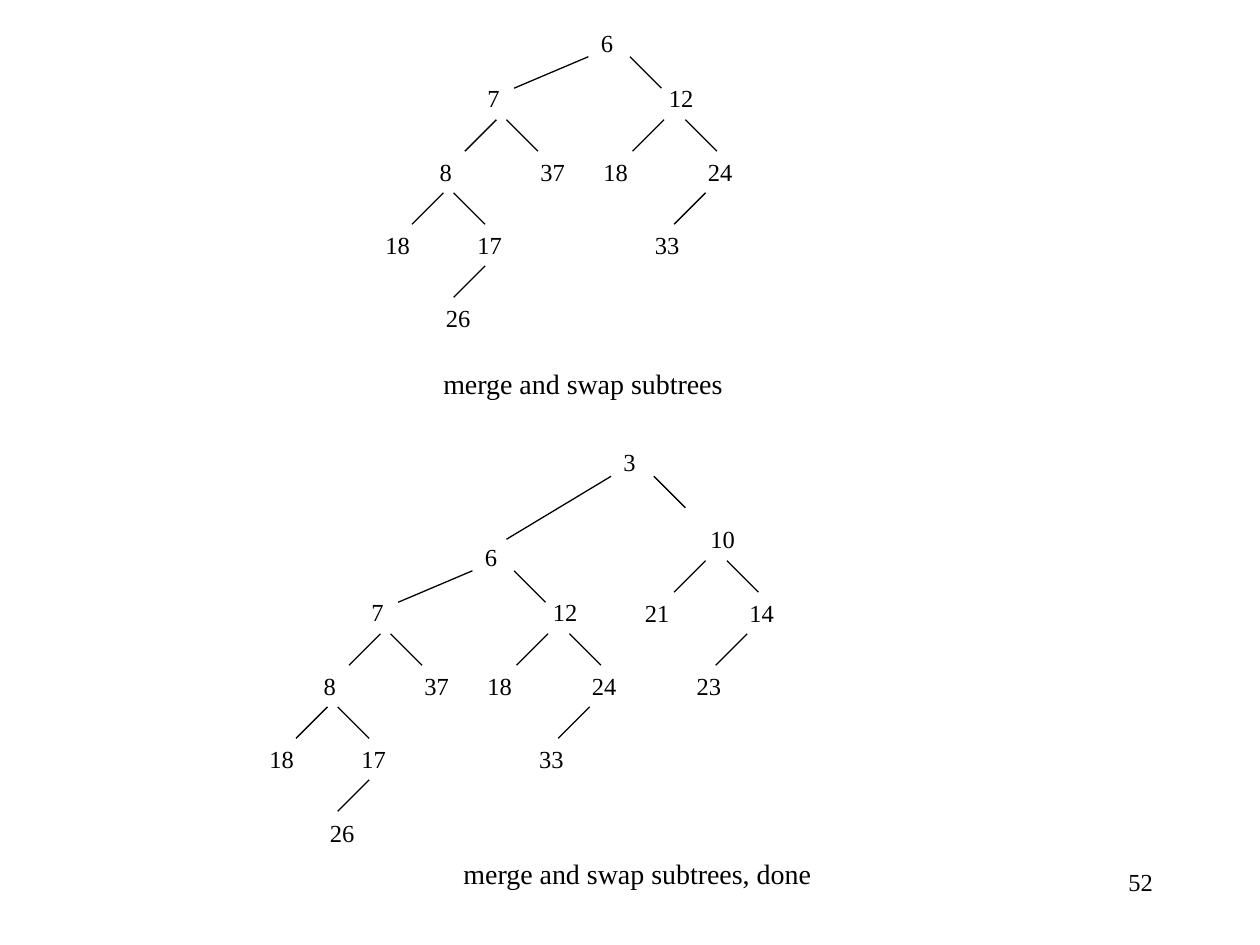
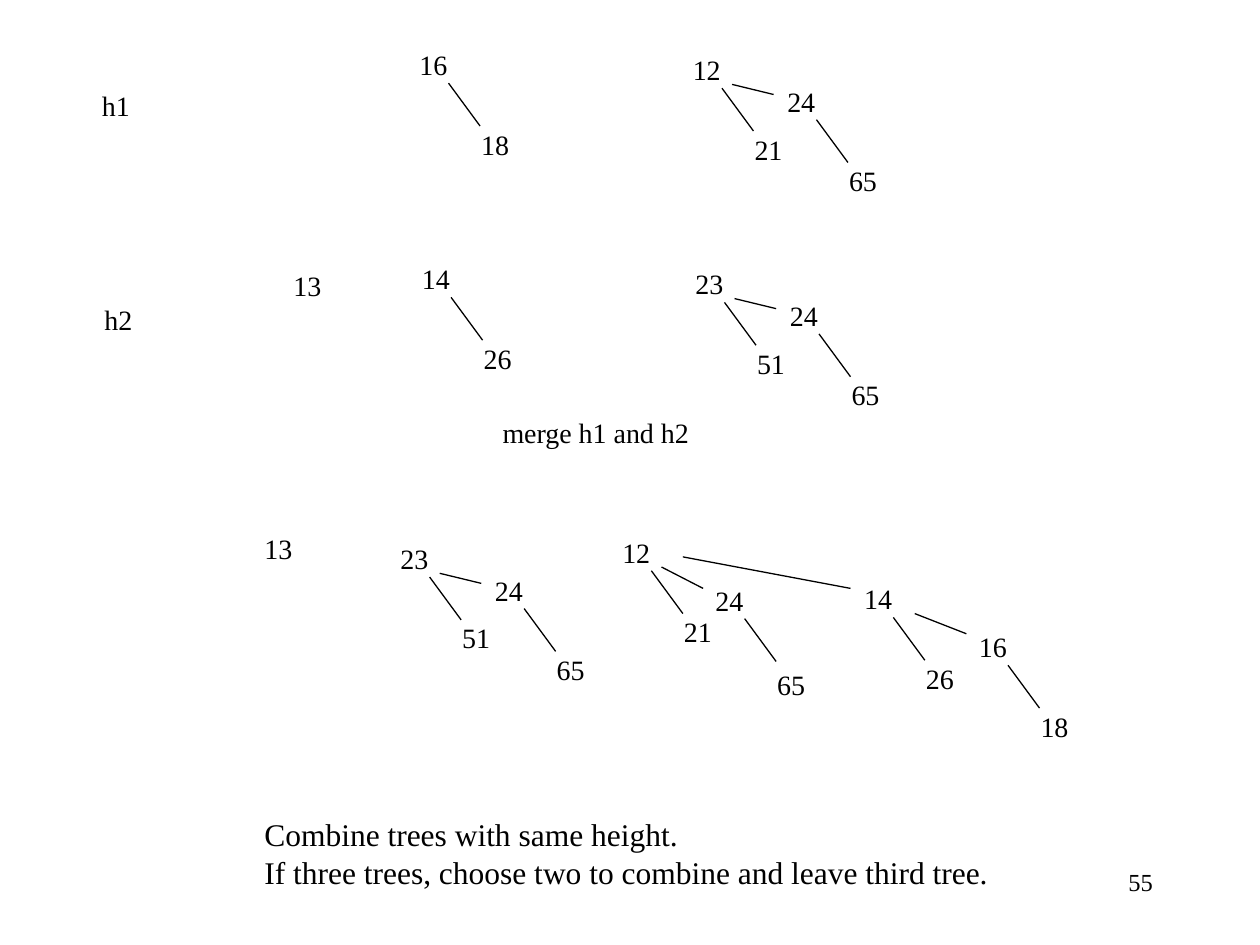
from lxml import etree
from pptx import Presentation
from pptx.dml.color import RGBColor
from pptx.enum.shapes import MSO_CONNECTOR
from pptx.enum.text import MSO_AUTO_SIZE, PP_ALIGN
from pptx.oxml.ns import qn
from pptx.util import Inches, Pt

STRAIGHT = MSO_CONNECTOR.STRAIGHT
FIT_SHAPE = MSO_AUTO_SIZE.SHAPE_TO_FIT_TEXT
NO_FIT = MSO_AUTO_SIZE.NONE
ALIGN_LEFT = PP_ALIGN.LEFT
ALIGN_RIGHT = PP_ALIGN.RIGHT

INK = "000000"
PAPER = "FFFFFF"
FONT = "Times New Roman"
NODE_SIZES = {14: (0.2, 0.1, 0.33), 16: (0.2, 0.11, 0.37)}
BRANCH = 0.25
LEVEL = 0.58


def paint(color_format, color):
    color_format.rgb = RGBColor.from_string(color)


def add_text(slide, box, lines, size, align=ALIGN_LEFT, wrap=False, fit=FIT_SHAPE):
    frame = slide.shapes.add_textbox(*map(Inches, box)).text_frame
    for name, value in {"word_wrap": wrap, "auto_size": fit}.items():
        setattr(frame, name, value)
    for index, line in enumerate(lines):
        paragraph = frame.add_paragraph() if index else frame.paragraphs[0]
        paragraph.alignment = align
        run = paragraph.add_run()
        run.text = line
        for name, value in {"name": FONT, "size": Pt(size)}.items():
            setattr(run.font, name, value)
        paint(run.font.color, INK)


def add_key(slide, left, top, key, size):
    margin, digit, height = NODE_SIZES[size]
    add_text(slide, (left, top, margin + digit * len(key), height), [key], size)


def add_edge(slide, left, top, start, end):
    ends = (left + start[0], top + start[1], left + end[0], top + end[1])
    edge = slide.shapes.add_connector(STRAIGHT, *map(Inches, ends))
    edge.line.width = Pt(0.75)
    paint(edge.line.color, INK)
    etree.SubElement(edge._element.spPr, qn("a:effectLst"))


def add_branch(slide, left, top, start, side):
    end = (start[0] + side * BRANCH, start[1] + BRANCH)
    add_edge(slide, left, top, start, end)


def add_page(deck, number):
    slide = deck.slides.add_slide(deck.slide_layouts[6])
    slide.background.fill.solid()
    paint(slide.background.fill.fore_color, PAPER)
    add_text(slide, (7.42, 6.83, 1.83, 0.5), [number], 14, ALIGN_RIGHT, True, NO_FIT)
    return slide


def draw_right_subtree(slide, left, top, root, low, high, leaf):
    places = ((0, 0), (-0.52, 0.59), (0.31, 0.59), (-0.11, 0.59 + LEVEL))
    for key, (x, y) in zip((root, low, high, leaf), places):
        add_key(slide, left + x, top + y, key, 14)
    for start, side in (((0.06, 0.34), -1), ((0.23, 0.34), 1), ((0.39, 0.92), -1)):
        add_branch(slide, left, top, start, side)


def draw_left_subtree(slide, left, top):
    for key, x, y in (
        ("7", 0, 0),
        ("8", -0.38, 0.59),
        ("37", 0.42, 0.59),
        ("18", -0.81, 0.59 + LEVEL),
        ("17", -0.08, 0.59 + LEVEL),
        ("26", -0.33, 0.59 + 2 * LEVEL),
    ):
        add_key(slide, left + x, top + y, key, 14)
    for start, side in (
        ((0.17, 0.34), -1),
        ((0.25, 0.34), 1),
        ((-0.25, 0.92), -1),
        ((-0.17, 0.92), 1),
        ((0.08, 1.5), -1),
    ):
        add_branch(slide, left, top, start, side)


def draw_six_heap(slide, left, top):
    add_key(slide, left, top, "6", 14)
    add_edge(slide, left, top, (0, 0.28), (-0.59, 0.53))
    add_branch(slide, left, top, (0.33, 0.28), 1)
    draw_left_subtree(slide, left - 0.9, top + 0.44)
    draw_right_subtree(slide, left + 0.54, top + 0.44, "12", "18", "24", "33")


def draw_three_heap(slide, left, top):
    add_key(slide, left, top, "3", 14)
    add_edge(slide, left, top, (0, 0.28), (-0.83, 0.78))
    add_branch(slide, left, top, (0.34, 0.28), 1)
    draw_six_heap(slide, left - 1.1, top + 0.75)
    draw_right_subtree(slide, left + 0.69, top + 0.61, "10", "21", "14", "23")


def draw_pair(slide, left, top, parent, child, drop=0.63):
    add_key(slide, left, top, parent, 16)
    add_key(slide, left + 0.49, top + drop, child, 16)
    add_edge(slide, left, top, (0.33, 0.33), (0.58, 0.67))


def draw_quad(slide, left, top, keys, shift=(0.75, 0.25),
              link=((0.41, 0.3), (0.74, 0.38)), drop=0.63):
    draw_pair(slide, left, top, *keys[:2])
    draw_pair(slide, left + shift[0], top + shift[1], *keys[2:], drop)
    add_edge(slide, left, top, *link)


def draw_forest(slide, left, top, label, pair, quad):
    add_key(slide, left, top + 0.32, label, 16)
    draw_pair(slide, left + 2.52, top, *pair)
    draw_quad(slide, left + 4.69, top + 0.04, quad)


def draw_merged_forest(slide, left, top):
    add_key(slide, left, top, "13", 16)
    draw_quad(slide, left + 1.08, top + 0.08, ("23", "51", "24", "65"))
    draw_quad(slide, left + 2.84, top + 0.03, ("12", "21", "24", "65"),
              (0.74, 0.38), ((0.41, 0.3), (0.74, 0.47)), 0.67)
    draw_quad(slide, left + 4.76, top + 0.4, ("14", "26", "16", "18"),
              (0.91, 0.38), ((0.5, 0.3), (0.91, 0.46)))
    add_edge(slide, left, top, (3.42, 0.25), (4.75, 0.5))


def build_swap_slide(deck):
    slide = add_page(deck, "52")
    draw_six_heap(slide, 4.67, 0.17)
    add_text(slide, (3.42, 2.86, 2.43, 0.37), ["merge and swap subtrees"], 16)
    draw_three_heap(slide, 4.85, 3.5)
    add_text(slide, (3.58, 6.75, 2.98, 0.37), ["merge and swap subtrees, done"], 16)


def build_merge_slide(deck):
    slide = add_page(deck, "55")
    draw_forest(slide, 0.71, 0.33, "h1", ("16", "18"), ("12", "21", "24", "65"))
    draw_forest(slide, 0.73, 2.03, "h2", ("14", "26"), ("23", "51", "24", "65"))
    add_key(slide, 2.23, 2.08, "13", 16)
    add_text(slide, (3.89, 3.25, 1.69, 0.37), ["merge h1 and h2"], 16)
    draw_merged_forest(slide, 2, 4.17)
    rules = ["Combine trees with same height.",
             "If three trees, choose two to combine and leave third tree."]
    add_text(slide, (2, 6.42, 6.33, 0.71), rules, 18, wrap=True)


def main():
    deck = Presentation()
    for name, value in {"slide_width": 10, "slide_height": 7.5}.items():
        setattr(deck, name, Inches(value))
    build_swap_slide(deck)
    build_merge_slide(deck)
    deck.save("out.pptx")


if __name__ == "__main__":
    main()
